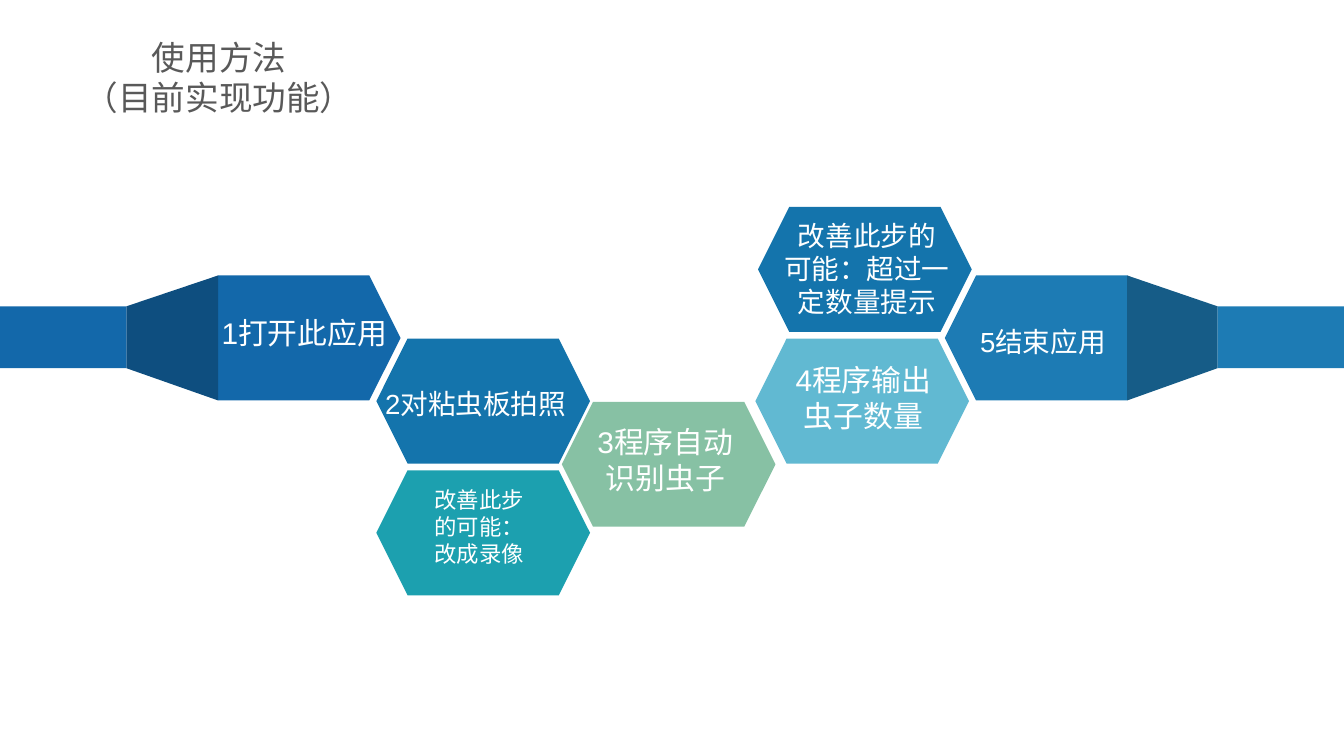
from pptx import Presentation
from pptx.dml.color import RGBColor
from pptx.enum.shapes import MSO_SHAPE as SHAPE
from pptx.enum.text import MSO_ANCHOR as ANCHOR, PP_ALIGN as ALIGN
from pptx.util import Inches, Pt

W = 10
H = W * 9 / 16
COLORS = {
    "white": "FFFFFF", "title": "595959", "start": "1368AA", "start_fold": "0E4E7F",
    "blue": "1474AC", "teal": "1CA0AF", "green": "87C1A4", "sky": "61B9D2",
    "end": "1D7BB4", "end_fold": "165C87",
}

# Honeycomb grid: left edges of columns, top edges of rows
COLS = (1.39, 2.8, 4.18, 5.62, 7.03)
ROWS = (1.54, 2.05, 2.52, 2.99, 3.5)
HEX_W, HEX_H = 1.59, 0.93
TIP = HEX_H / 4

# Content: column, row, colour, lines, size, alignment, text box offset and size
STEPS = [
    (1, 2, "blue", ["2对粘虫板拍照"], 14.8, "right", (0, 0.36, 1.41, 0.2)),
    (2, 3, "green", ["3程序自动", "识别虫子"], 16, "center", (0.11, 0.16, 1.32, 0.71)),
    (3, 2, "sky", ["4程序输出", "虫子数量"], 16, "center", (0.18, 0.17, 1.25, 0.75)),
    (1, 4, "teal", ["改善此步", "的可能：", "改成录像"], 12, "right", (-0.16, 0.12, 1.26, 0.69)),
    (3, 0, "blue", ["改善此步的", "可能：超过一", "定数量提示"], 14.8, "center",
     (0.18, 0.09, 1.3, 0.71)),
    (0, 1, "start", ["1打开此应用"], 16, "right", (0.18, 0.29, 1.31, 0.27)),
    (4, 1, "end", ["5结束应用"], 14.8, "center", (0.1, 0.37, 1.26, 0.2)),
]
TITLE = ["使用方法", "（目前实现功能）"]
# Ribbon ends: colour, slide edge, inner end of the band, edge of the hexagon's flat side
RIBBONS = [
    ("start", 0, 0.94, COLS[0] + TIP),
    ("end", W, W - 0.94, COLS[4] + HEX_W - TIP),
]
BAND_TOP, BAND_H = 2.28, 0.46
ALIGNS = {"right": ALIGN.RIGHT, "center": ALIGN.CENTER}


def rgb(name):
    return RGBColor.from_string(COLORS[name])


def paint(sp, color):
    sp.shadow.inherit = False
    sp.fill.solid()
    sp.fill.fore_color.rgb = rgb(color)
    sp.line.fill.background()


def add_block(s, kind, x, y, w, h, color):
    sp = s.shapes.add_shape(kind, Inches(x), Inches(y), Inches(w), Inches(h))
    paint(sp, color)


def add_text(s, box, lines, size, align, color="white", anchor=ANCHOR.TOP):
    tf = s.shapes.add_textbox(*map(Inches, box)).text_frame
    tf.word_wrap = False
    tf.vertical_anchor = anchor
    tf.margin_left = tf.margin_right = tf.margin_top = tf.margin_bottom = 0
    for i, line in enumerate(lines):
        p = tf.add_paragraph() if i else tf.paragraphs[0]
        p.alignment = ALIGNS[align]
        r = p.add_run()
        r.text = line
        r.font.name = "Arial"
        r.font.size = Pt(size)
        r.font.color.rgb = rgb(color)


def add_fold(s, outer, inner, color):
    """Trapezoid that widens from the band to the hexagon."""
    top = ROWS[1]
    points = [(inner, top), (outer, BAND_TOP), (outer, BAND_TOP + BAND_H), (inner, top + HEX_H)]
    points = [(Inches(x), Inches(y)) for x, y in points]
    fb = s.shapes.build_freeform(*points[0])
    fb.add_line_segments(points[1:], close=True)
    paint(fb.convert_to_shape(), color)


prs = Presentation()
prs.slide_width, prs.slide_height = Inches(W), Inches(H)
s = prs.slides.add_slide(prs.slide_layouts[6])
s.background.fill.solid()
s.background.fill.fore_color.rgb = rgb("white")

# Hexagons
for col, row, color, *_ in STEPS:
    nudge = 0.02 if row == 0 else 0
    add_block(s, SHAPE.HEXAGON, COLS[col] + nudge, ROWS[row], HEX_W, HEX_H, color)

# Ribbon ends
for color, edge, outer, inner in RIBBONS:
    add_fold(s, outer, inner, color + "_fold")
    add_block(s, SHAPE.RECTANGLE, min(edge, outer), BAND_TOP, abs(edge - outer), BAND_H, color)

# Step labels and title
for col, row, _, lines, size, align, (dx, dy, w, h) in STEPS:
    add_text(s, (COLS[col] + dx, ROWS[row] + dy, w, h), lines, size, align)
add_text(s, (0.28, 0.14, 2.7, 0.87), TITLE, 18, "center", "title", ANCHOR.MIDDLE)

prs.save("out.pptx")
